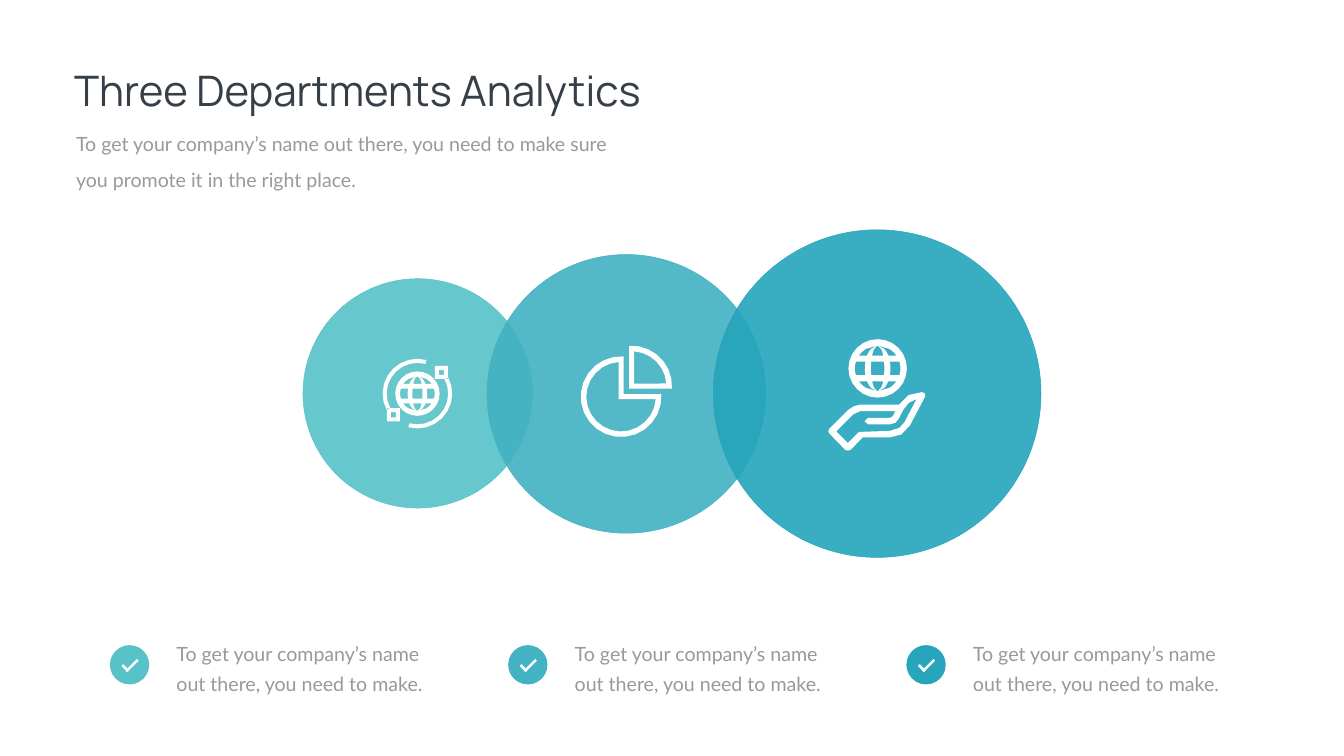
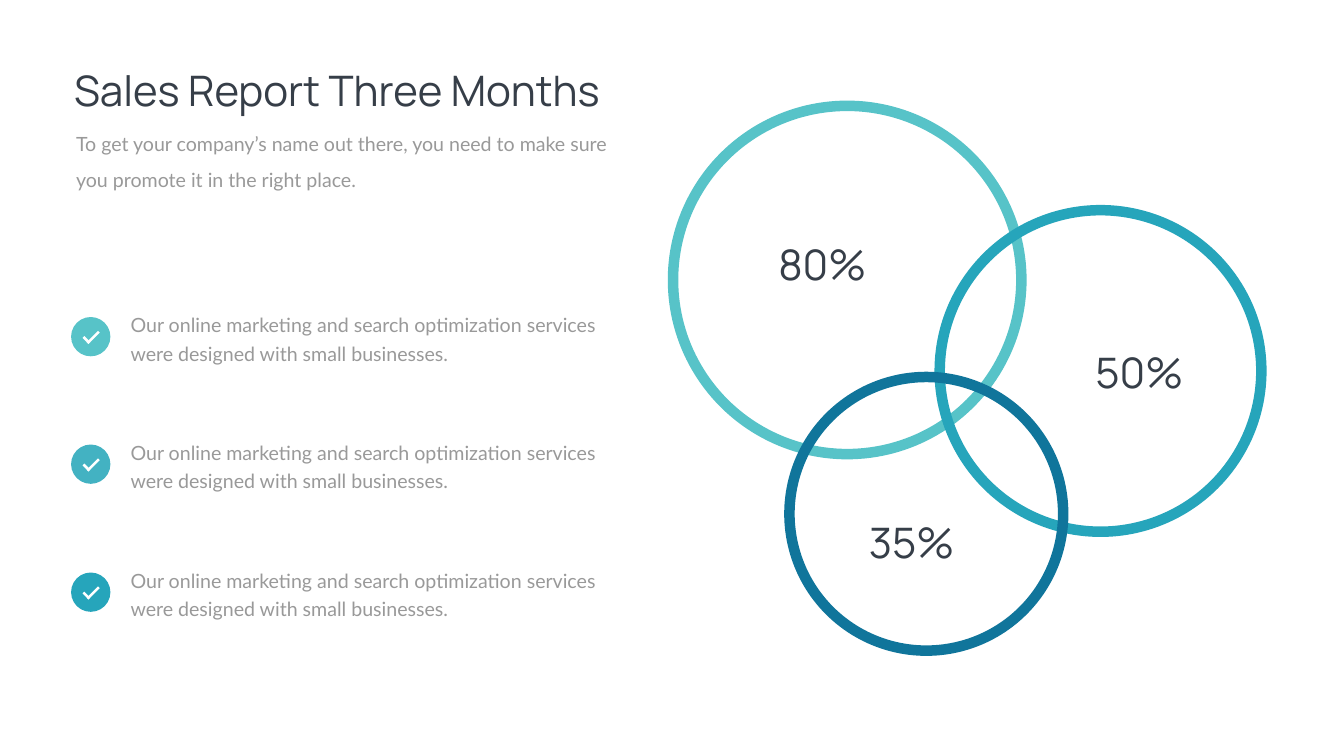
import itertools
import math
from dataclasses import dataclass

from lxml import etree
from pptx import Presentation, util as u
from pptx.dml import color
from pptx.enum import shapes, text
from pptx.oxml import ns

PX = 9144


@dataclass(frozen=True)
class Theme:
    ink: str = "363E48"
    muted: str = "999999"
    white: str = "FFFFFF"
    aqua: str = "57C3C8"
    lagoon: str = "43B2C2"
    teal: str = "26A5BB"
    ocean: str = "10759B"
    heading_font: str = "Manrope"
    body_font: str = "Lato"
    heading_size: int = 60
    body_size: int = 28

    @property
    def accents(self):
        return self.aqua, self.lagoon, self.teal


SUBTITLE = ("To get your company’s name out there, you need to make sure "
            "you promote it in the right place.")
DEPARTMENT_NOTE = "To get your company’s name out there, you need to make."
SALES_NOTE = ("Our online marketing and search optimization services "
              "were designed with small businesses.")
PALM = [(1794, 838), (1784, 849), (1765, 855), (1704, 857),
        (1682, 879), (1659, 856), (1693, 822), (1706, 816), (1776, 816),
        (1771, 826), (1765, 829), (1722, 829), (1715, 836),
        (1722, 842), (1765, 842), (1776, 839), (1782, 832),
        (1792, 813), (1803, 799), (1818, 792)]
HAND_EDGE = [(1835, 781), (1829, 778), (1802, 784), (1783, 803), (1706, 803),
             (1694, 806), (1683, 813), (1645, 851), (1643, 856), (1645, 860),
             (1677, 893), (1682, 894), (1687, 893), (1711, 868), (1765, 868),
             (1788, 862), (1805, 844), (1835, 787)]


def rgb(value):
    return color.RGBColor.from_string(value)


def write(shape, content, *, font, size, fill, align=text.PP_ALIGN.LEFT,
          spacing=1.0, insets=(10, 5)):
    frame = shape.text_frame
    frame.word_wrap = True
    frame.auto_size = text.MSO_AUTO_SIZE.SHAPE_TO_FIT_TEXT
    frame.vertical_anchor = text.MSO_ANCHOR.TOP
    frame.margin_left = frame.margin_right = insets[0] * PX
    frame.margin_top = frame.margin_bottom = insets[1] * PX
    frame.text = content
    paragraph = frame.paragraphs[0]
    paragraph.alignment = align
    paragraph.line_spacing = spacing
    paragraph.space_before = u.Pt(0)
    paragraph.font.name = font
    paragraph.font.size = u.Pt(size)
    paragraph.font.color.rgb = rgb(fill)


def arc(center, radius, start, end):
    steps = math.ceil(abs(end - start) / 15)
    angles = [math.radians(start + (end - start) * step / steps)
              for step in range(steps + 1)]
    return [(center[0] + radius * math.cos(angle),
             center[1] + radius * math.sin(angle)) for angle in angles]


def sector(center, radius, start, end, corner):
    return arc(center, radius, start, end) + [
        (center[0] + corner[0], center[1] + corner[1])]


def square(center, half):
    return [(center[0] + half * across, center[1] + half * down)
            for across, down in ((-1, -1), (1, -1), (1, 1), (-1, 1))]


def globe(center, radius):
    rim, steps = 0.78, 3
    bands = ((-rim, -0.44), (-0.23, 0.23), (0.44, rim))
    contours = [arc(center, radius, 0, 360)]
    for (left, right), (top, bottom) in itertools.product(bands, bands):
        rows = [top + (bottom - top) * step / steps for step in range(steps + 1)]
        edges = [[(center[0] + radius * side * math.sqrt(max(0, 1 - (row / rim) ** 2)),
                   center[1] + radius * row) for row in rows]
                 for side in (left, right)]
        contours.append(edges[0] + edges[1][::-1])
    return contours


def orbit(center, turn):
    side = 1 if turn == 0 else -1
    node = center[0] + 47.5 * side, center[1] - 42 * side
    band = (arc(center, 69, turn - 28, turn + 105)
            + arc(center, 61, turn + 105, turn - 28))
    return [band, square(node, 13), square(node, 5)]


class Deck:
    def __init__(self, theme):
        self.theme = theme
        self.presentation = Presentation()
        self.presentation.slide_width = 2666 * PX
        self.presentation.slide_height = 1500 * PX
        self.slide = None

    def start(self, title):
        self.slide = self.presentation.slides.add_slide(
            self.presentation.slide_layouts[5])
        heading = self.slide.shapes.title
        heading.left, heading.top = 137 * PX, 123 * PX
        heading.width, heading.height = 1395 * PX, 111 * PX
        self.write_heading(heading, title)
        self.body(141, 234, 1121, 142, SUBTITLE, spacing=1.5)

    def write_heading(self, shape, content, **style):
        write(shape, content, font=self.theme.heading_font,
              size=self.theme.heading_size, fill=self.theme.ink, **style)

    def box(self, left, top, width, height):
        return self.slide.shapes.add_textbox(
            left * PX, top * PX, width * PX, height * PX)

    def body(self, left, top, width, height, content, **style):
        write(self.box(left, top, width, height), content,
              font=self.theme.body_font, size=self.theme.body_size,
              fill=self.theme.muted, **style)

    def label(self, left, top, content):
        self.write_heading(self.box(left, top, 332, 129), content,
                           align=text.PP_ALIGN.CENTER, spacing=1.2, insets=(0, 0))

    def paint(self, shape, fill=None, line=None, weight=0.75):
        shape.shadow.inherit = False
        if fill:
            shape.fill.solid()
            shape.fill.fore_color.rgb = rgb(fill)
        else:
            shape.fill.background()
        if line:
            shape.line.color.rgb = rgb(line)
            shape.line.width = u.Pt(weight)
        else:
            shape.line.fill.background()

    def preset(self, kind, left, top, width, height, **style):
        shape = self.slide.shapes.add_shape(
            kind, left * PX, top * PX, width * PX, height * PX)
        self.paint(shape, **style)
        return shape

    def circle(self, left, top, size, opacity=100, **style):
        shape = self.preset(shapes.MSO_SHAPE.OVAL, left, top, size, size, **style)
        if opacity < 100:
            tint = shape._element.spPr.xpath("./a:solidFill/a:srgbClr")[0]
            etree.SubElement(tint, ns.qn("a:alpha"), val=str(opacity * 1000))

    def check(self, left, top, fill):
        self.circle(left, top, 78, fill=fill)
        for across, down, width, angle in ((22, 43, 17, 45), (28, 38, 32, 315)):
            stroke = self.preset(shapes.MSO_SHAPE.RECTANGLE, left + across,
                                 top + down, width, 5, fill=self.theme.white)
            stroke.rotation = angle

    def icon(self, contours):
        scaled = [[(x * PX, y * PX) for x, y in contour] for contour in contours]
        builder = self.slide.shapes.build_freeform(*scaled[0][0], scale=1.0)
        for index, contour in enumerate(scaled):
            if index:
                builder.move_to(*contour[0])
            builder.add_line_segments(contour[1:], close=True)
        self.paint(builder.convert_to_shape(), fill=self.theme.white)


def build_departments(deck):
    deck.start("Three Departments Analytics")
    circles = ((601, 553, 455), (966, 505, 553), (1415, 456, 650))
    for (left, top, size), accent in zip(circles, deck.theme.accents):
        deck.circle(left, top, size, opacity=91, fill=accent, line=accent)
    for index, accent in enumerate(deck.theme.accents):
        left, top = 218 + 790 * index, 1280
        deck.body(left + 108, top - 32, 542, 139, DEPARTMENT_NOTE,
                  spacing=u.Pt(43), insets=(24, 12))
        deck.check(left, top, accent)

    network = (828, 781)
    deck.icon(globe(network, 44))
    for turn in (0, 180):
        deck.icon(orbit(network, turn))

    pie, piece = (1232, 787), (1253, 766)
    deck.icon([sector(pie, 80, -3.6, 273.6, (5, -5)),
               sector(pie, 69, 4.2, 265.8, (-5, 5))])
    deck.icon([sector(piece, 80, 3.6, -93.6, (-5, 5)),
               sector(piece, 69, -4.2, -85.8, (5, -5))])

    deck.icon([HAND_EDGE, PALM])
    deck.icon(globe((1741, 731), 58))


def build_sales(deck):
    deck.start("Sales Report Three Months")
    theme = deck.theme
    rings = ((1335, 210, 691, theme.aqua), (1864, 417, 638, theme.teal),
             (1566, 748, 543, theme.ocean))
    for left, top, size, accent in rings:
        deck.circle(left, top, size, line=accent, weight=15)
    for left, top, share in ((1465, 453, "80%"), (2094, 667, "50%"),
                             (1642, 1004, "35%")):
        deck.label(left, top, share)
    for index, accent in enumerate(theme.accents):
        left, top = 141, 629 + 507 * index // 2
        deck.body(left + 94, top - 30, 1028, 133, SALES_NOTE,
                  spacing=u.Pt(40.8), insets=(24, 12))
        deck.check(left, top, accent)


def main():
    deck = Deck(Theme())
    build_departments(deck)
    build_sales(deck)
    deck.presentation.save("out.pptx")


if __name__ == "__main__":
    main()
